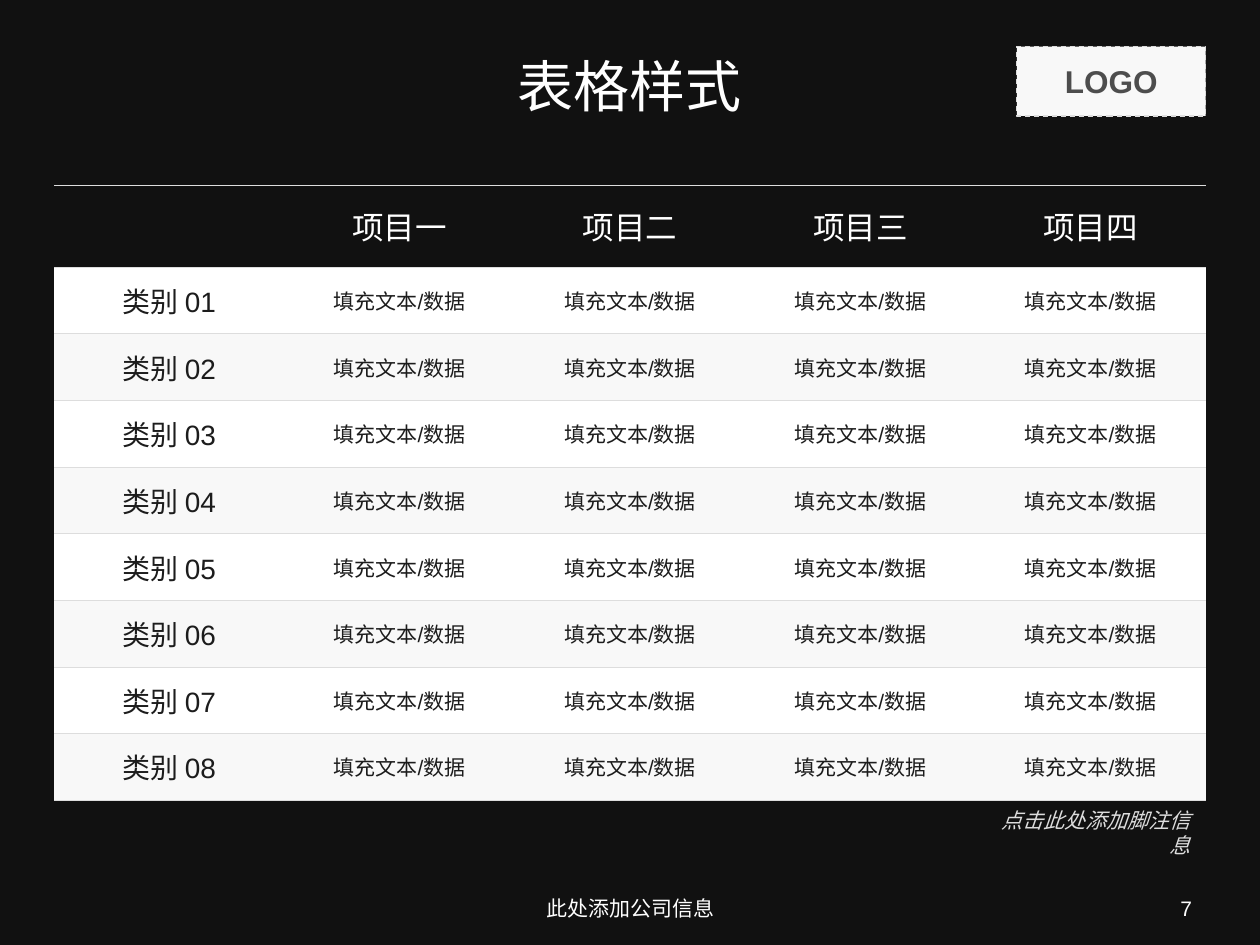
from lxml import etree
from pptx import Presentation
from pptx.dml.color import RGBColor
from pptx.enum.dml import MSO_LINE
from pptx.enum.shapes import MSO_SHAPE
from pptx.enum.text import MSO_ANCHOR, MSO_AUTO_SIZE, PP_ALIGN
from pptx.oxml.ns import qn
from pptx.util import Inches, Pt

TITLE = "表格样式"
LOGO = "LOGO"
COLUMNS = ["项目一", "项目二", "项目三", "项目四"]
CATEGORIES = [f"类别 {number:02d}" for number in range(1, 9)]
ENTRY = "填充文本/数据"
FOOTNOTE = "点击此处添加脚注信息"
COMPANY = "此处添加公司信息"
PAGE = "7"

FONT = "Arial"
BLACK = RGBColor(0x11, 0x11, 0x11)
INK = RGBColor(0x1C, 0x1C, 0x1C)
GRAY = RGBColor(0x4D, 0x4D, 0x4D)
RULE = RGBColor(0xDD, 0xDD, 0xDD)
PALE = RGBColor(0xF8, 0xF8, 0xF8)
FOOTER = RGBColor(0xFE, 0xFE, 0xFE)
WHITE = RGBColor(0xFF, 0xFF, 0xFF)

MARGIN, CONTENT_WIDTH = 0.43, 9.14
TABLE_TOP, TABLE_HEIGHT, HEADER_HEIGHT = 1.47, 4.88, 0.65
PLAIN_TABLE_STYLE = "{2D5ABB26-0587-4C30-8999-92F81FD0307C}"


def write(frame, text, size, color, align=PP_ALIGN.CENTER, bold=False, italic=False):
    paragraph = frame.paragraphs[0]
    paragraph.alignment = align
    run = paragraph.add_run()
    run.text = text
    font = run.font
    font.name, font.size, font.bold, font.italic = FONT, Pt(size), bold, italic
    font.color.rgb = color


def add_text(slide, box, text, color, align, anchor=MSO_ANCHOR.MIDDLE, italic=False):
    frame = slide.shapes.add_textbox(*map(Inches, box)).text_frame
    frame.word_wrap = True
    frame.vertical_anchor = anchor
    write(frame, text, 12, color, align, italic=italic)
    return frame


def rule_cell(cell):
    """Draw thin rules along the top and bottom of a cell."""
    properties = cell._tc.get_or_add_tcPr()
    for index, side in enumerate(("a:lnT", "a:lnB")):
        line = etree.Element(qn(side), w=str(Pt(0.45)))
        fill = etree.SubElement(line, qn("a:solidFill"))
        etree.SubElement(fill, qn("a:srgbClr"), val=str(RULE))
        properties.insert(index, line)


def add_table(slide):
    rows = [["", *COLUMNS]] + [[name] + [ENTRY] * len(COLUMNS) for name in CATEGORIES]
    frame = slide.shapes.add_table(
        len(rows), len(rows[0]), Inches(MARGIN), Inches(TABLE_TOP),
        Inches(CONTENT_WIDTH), Inches(TABLE_HEIGHT))
    table = frame.table
    table.first_row = table.horz_banding = False
    table._tbl.tblPr.find(qn("a:tableStyleId")).text = PLAIN_TABLE_STYLE
    body_height = (TABLE_HEIGHT - HEADER_HEIGHT) / len(CATEGORIES)
    for r, texts in enumerate(rows):
        table.rows[r].height = Inches(body_height if r else HEADER_HEIGHT)
        for c, text in enumerate(texts):
            cell = table.cell(r, c)
            cell.vertical_anchor = MSO_ANCHOR.MIDDLE
            if r == 0:
                cell.fill.background()
                size, color = 18, WHITE
            else:
                cell.fill.solid()
                cell.fill.fore_color.rgb = WHITE if r % 2 else PALE
                size, color = (12 if c else 16), INK
            if text:
                write(cell.text_frame, text, size, color)
            rule_cell(cell)


def add_logo(slide):
    logo = slide.shapes.add_shape(
        MSO_SHAPE.RECTANGLE, *map(Inches, (8.07, 0.37, 1.5, 0.55)))
    logo.shadow.inherit = False
    logo.fill.solid()
    logo.fill.fore_color.rgb = PALE
    logo.line.color.rgb = RULE
    logo.line.width = Pt(0.75)
    logo.line.dash_style = MSO_LINE.DASH
    logo.text_frame.vertical_anchor = MSO_ANCHOR.MIDDLE
    write(logo.text_frame, LOGO, 18, GRAY, bold=True)


def main():
    deck = Presentation()
    deck.slide_width, deck.slide_height = Inches(10), Inches(7.5)
    slide = deck.slides.add_slide(deck.slide_layouts[5])
    slide.background.fill.solid()
    slide.background.fill.fore_color.rgb = BLACK

    title = slide.shapes.title
    title.left, title.top = Inches(MARGIN), Inches(0.28)
    title.width, title.height = Inches(CONTENT_WIDTH), Inches(0.79)
    title.text_frame.vertical_anchor = MSO_ANCHOR.MIDDLE
    write(title.text_frame, TITLE, 32, WHITE)

    add_logo(slide)
    add_table(slide)
    footnote = add_text(slide, (7.69, 6.36, 1.86, 0.3), FOOTNOTE, RULE,
                        PP_ALIGN.RIGHT, MSO_ANCHOR.TOP, italic=True)
    footnote.word_wrap = False
    footnote.auto_size = MSO_AUTO_SIZE.SHAPE_TO_FIT_TEXT
    add_text(slide, (3.42, 7.06, 3.17, 0.29), COMPANY, FOOTER, PP_ALIGN.CENTER)
    add_text(slide, (7.23, 7.06, 2.33, 0.29), PAGE, FOOTER, PP_ALIGN.RIGHT)
    deck.save("out.pptx")


if __name__ == "__main__":
    main()
